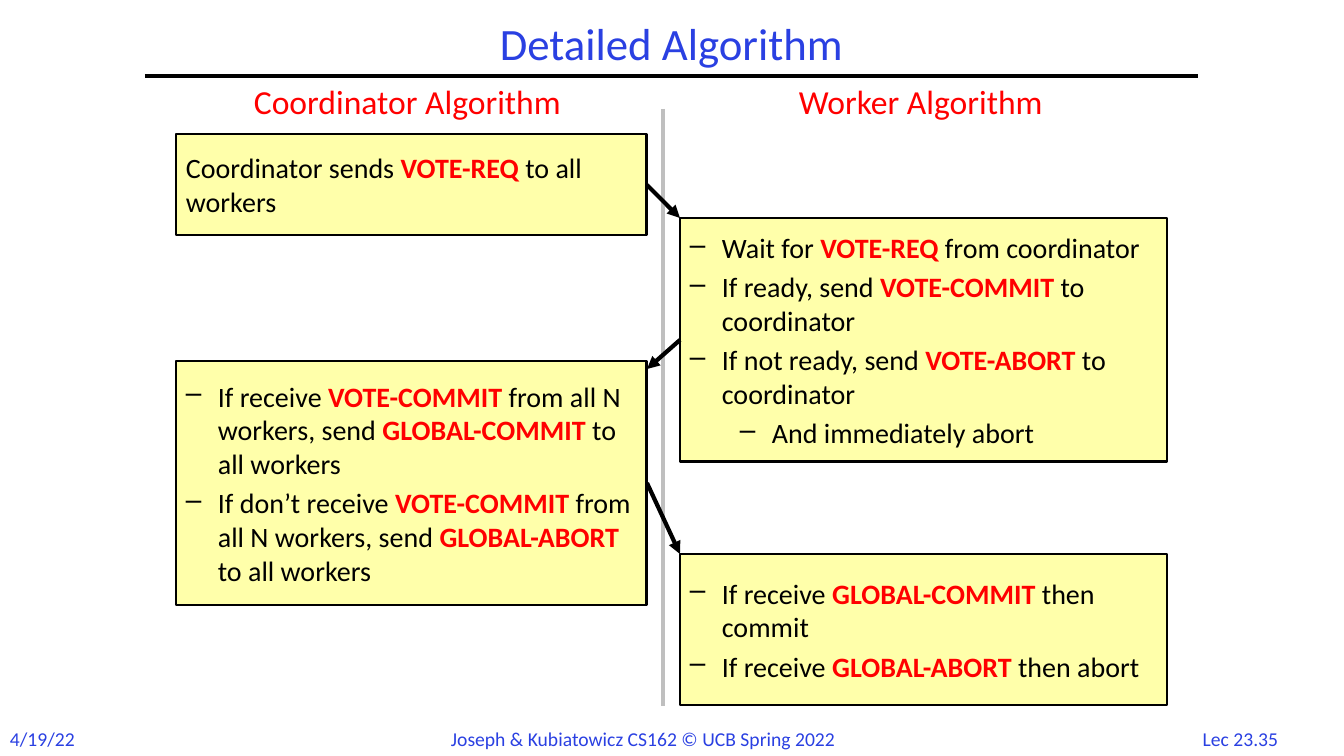
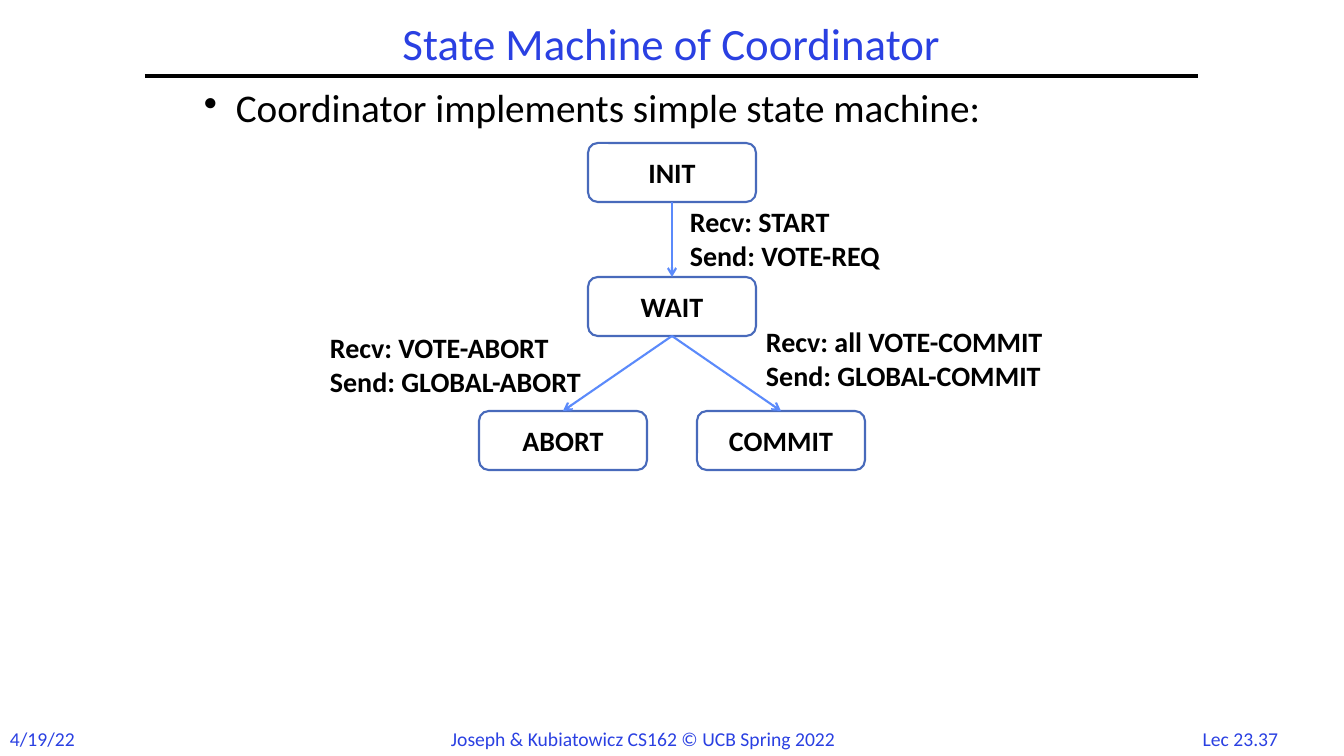
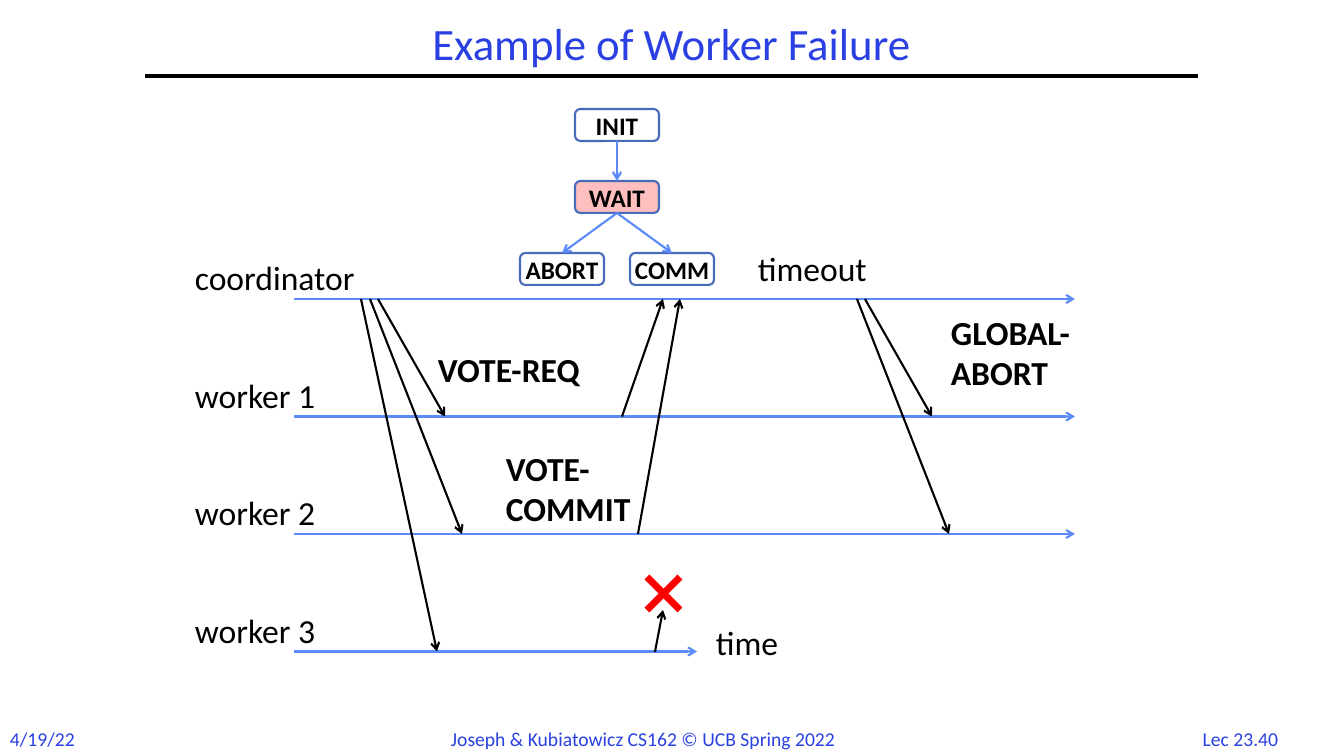
from lxml import etree
from pptx import Presentation
from pptx.dml.color import RGBColor
from pptx.enum.shapes import MSO_CONNECTOR, MSO_SHAPE
from pptx.enum.text import MSO_ANCHOR, PP_ALIGN
from pptx.oxml.ns import qn
from pptx.util import Emu, Pt

LEFT, CENTER = PP_ALIGN.LEFT, PP_ALIGN.CENTER
TOP, MIDDLE = MSO_ANCHOR.TOP, MSO_ANCHOR.MIDDLE
RECTANGLE, ROUNDED = MSO_SHAPE.RECTANGLE, MSO_SHAPE.ROUNDED_RECTANGLE
STRAIGHT = MSO_CONNECTOR.STRAIGHT

EMU_PER_PX = 914400 / 100.8
SLIDE_WIDTH, SLIDE_HEIGHT = 1344, 756
FONT = "Calibri"
COLORS = {
    "title": "2A40E2", "text": "000000", "accent": "FF0000", "note": "FFFFAA",
    "divider": "BFBFBF", "node": "486ABB", "flow": "5B8AFB",
}

# Shared content: text, left, top, width, alignment
FOOTER_TOP = 722
COURSE = ("Joseph & Kubiatowicz CS162 © UCB Spring 2022", 441, 417, LEFT)
DATE = ("4/19/22", 0, 90, LEFT)
LECTURE_LEFT, LECTURE_WIDTH = 1186, 109

# Detailed algorithm; asterisks surround message names
COLUMN_HEADINGS = [("Coordinator Algorithm", 244), ("Worker Algorithm", 789)]
COLUMNS = {"coordinator": (176, 471), "worker": (680, 487)}
DIVIDER = (663, 109, 663, 706)
# column, top, height, paragraphs as (bullet level or None, text)
STEPS = [
    ("coordinator", 134, 101, [
        (None, "Coordinator sends *VOTE-REQ* to all workers")]),
    ("worker", 218, 244, [
        (0, "Wait for *VOTE-REQ* from coordinator"),
        (0, "If ready, send *VOTE-COMMIT* to coordinator"),
        (0, "If not ready, send *VOTE-ABORT* to coordinator"),
        (1, "And immediately abort")]),
    ("coordinator", 361, 244, [
        (0, "If receive *VOTE-COMMIT* from all N workers, send "
            "*GLOBAL-COMMIT* to all workers"),
        (0, "If don’t receive *VOTE-COMMIT* from all N workers, send "
            "*GLOBAL-ABORT* to all workers")]),
    ("worker", 554, 151, [
        (0, "If receive *GLOBAL-COMMIT* then commit"),
        (0, "If receive *GLOBAL-ABORT* then abort")]),
]
STEP_ARROWS = [(647, 185, 680, 218), (680, 340, 647, 369), (647, 483, 680, 554)]

# Coordinator state machine
MACHINE_INTRO = "Coordinator implements simple state machine:"
LARGE_MACHINE = {
    "names": ["INIT", "WAIT", "ABORT", "COMMIT"], "center": 672, "top": 143,
    "node": (168, 59), "pitch": 134, "spread": 109, "size": 20, "active": None,
}
TRANSITIONS = [
    ("Recv: START\nSend: VOTE-REQ", 680, 200, 252),
    ("Recv: VOTE-ABORT\nSend: GLOBAL-ABORT", 320, 326, 320),
    ("Recv: all VOTE-COMMIT\nSend: GLOBAL-COMMIT", 756, 320, 320),
]

# Worker failure timeline
SMALL_MACHINE = {
    "names": ["INIT", "WAIT", "ABORT", "COMM"], "center": 617, "top": 109,
    "node": (84, 32), "pitch": 72, "spread": 55, "size": 18, "active": "WAIT",
}
LIFELINES = [("coordinator", 1075), ("worker 1", 1075),
             ("worker 2", 1075), ("worker 3", 697)]
LIFELINE_LEFT, LIFELINE_TOP, LIFELINE_PITCH = 294, 299, 117.5
# start x, start lifeline, end x, end lifeline
MESSAGES = [
    (378, 0, 445, 1), (370, 0, 462, 2), (361, 0, 437, 3),
    (622, 1, 663, 0), (638, 2, 680, 0),
    (865, 0, 932, 1), (857, 0, 949, 2),
]
LOST_MESSAGE = (655, 652, 663, 610)
CROSS = [(647, 577, 680, 610), (680, 577, 647, 610)]
# text, left, top, width, bold
TIMELINE_LABELS = [
    ("VOTE-REQ", 428, 344, 176, True), ("VOTE-COMMIT", 496, 443, 185, True),
    ("GLOBAL-ABORT", 941, 307, 202, True),
    ("timeout", 748, 243, 202, False), ("time", 706, 617, 92, False),
]


def px(value):
    return Emu(round(value * EMU_PER_PX))


def color(name):
    return RGBColor.from_string(COLORS[name])


def format_run(run, size, color_name="text", bold=False):
    run.font.name = FONT
    run.font.size = Pt(size)
    run.font.bold = bold
    run.font.color.rgb = color(color_name)


def add_bullet(paragraph, character, level=0):
    properties = paragraph._p.get_or_add_pPr()
    properties.set("marL", str(px(32 + 50 * level)))
    properties.set("indent", str(-px(32)))
    etree.SubElement(properties, qn("a:buChar")).set("char", character)


def add_text(slide, text, left, top, width, size, height=50, color_name="text",
             bold=False, align=LEFT, anchor=TOP, spacing=None):
    box = slide.shapes.add_textbox(px(left), px(top), px(width), px(height))
    frame = box.text_frame
    frame.word_wrap = True
    frame.vertical_anchor = anchor
    frame.text = text
    for paragraph in frame.paragraphs:
        paragraph.alignment = align
        if spacing:
            paragraph.line_spacing = spacing
        for run in paragraph.runs:
            format_run(run, size, color_name, bold)
    return frame


def add_line(slide, ends, color_name="text", weight=1.5, arrow=None):
    line = slide.shapes.add_connector(STRAIGHT, *map(px, ends))
    line.line.color.rgb = color(color_name)
    line.line.width = Pt(weight)
    if arrow:
        outline = line.line._get_or_add_ln()
        etree.SubElement(outline, qn("a:tailEnd")).set("type", arrow)
    etree.SubElement(line._element.spPr, qn("a:effectLst"))


def add_box(slide, preset, left, top, width, height, outline, weight, fill=None):
    box = slide.shapes.add_shape(preset, px(left), px(top), px(width), px(height))
    box.shadow.inherit = False
    box.line.color.rgb = color(outline)
    box.line.width = Pt(weight)
    if fill:
        box.fill.solid()
        box.fill.fore_color.rgb = color(fill)
    else:
        box.fill.background()
    box.text_frame.word_wrap = True
    box.text_frame.vertical_anchor = MIDDLE
    return box


def add_slide(presentation, title, lecture):
    """Blank slide with the title, rule and footers that all slides share."""
    slide = presentation.slides.add_slide(presentation.slide_layouts[6])
    add_line(slide, (145, 76, 1198, 76), weight=3)
    add_text(slide, title, 145, 17, 1053, 32, height=58, color_name="title",
             align=CENTER, anchor=MIDDLE, spacing=0.9)
    page = (lecture, LECTURE_LEFT, LECTURE_WIDTH, CENTER)
    for text, left, width, align in (DATE, COURSE, page):
        add_text(slide, text, left, FOOTER_TOP, width, 14, height=34,
                 color_name="title", align=align)
    return slide


def add_step(slide, column, top, height, paragraphs):
    left, width = COLUMNS[column]
    frame = add_box(slide, RECTANGLE, left, top, width, height,
                    "text", 2, "note").text_frame
    for index, (level, text) in enumerate(paragraphs):
        paragraph = frame.add_paragraph() if index else frame.paragraphs[0]
        paragraph.alignment = LEFT
        if level is not None:
            add_bullet(paragraph, "–", level)
        if index:
            paragraph.space_before = Pt(4)
        for part, words in enumerate(text.split("*")):
            run = paragraph.add_run()
            run.text = words
            is_message = part % 2 == 1
            format_run(run, 20, "accent" if is_message else "text", is_message)


def add_state_machine(slide, names, center, top, node, pitch, spread, size, active):
    width, height = node
    places = [(center, top), (center, top + pitch),
              (center - spread, top + 2 * pitch), (center + spread, top + 2 * pitch)]
    for name, (middle, node_top) in zip(names, places):
        is_active = name == active
        box = add_box(slide, ROUNDED, middle - width / 2, node_top, width, height,
                      "node", 1.5, "accent" if is_active else None)
        if is_active:
            fill_color = box._element.spPr.find(".//" + qn("a:srgbClr"))
            etree.SubElement(fill_color, qn("a:alpha")).set("val", "25000")
        frame = box.text_frame
        frame.margin_left = frame.margin_right = 0
        frame.margin_top = frame.margin_bottom = 0
        frame.text = name
        frame.paragraphs[0].alignment = CENTER
        format_run(frame.paragraphs[0].runs[0], size, bold=True)
    for source, target in ((0, 1), (1, 2), (1, 3)):
        start_x, start_top = places[source]
        add_line(slide, (start_x, start_top + height, *places[target]),
                 "flow", arrow="arrow")


def build_algorithm(presentation):
    slide = add_slide(presentation, "Detailed Algorithm", "Lec 23.35")
    add_line(slide, DIVIDER, "divider", 3)
    for step in STEPS:
        add_step(slide, *step)
    for text, left in COLUMN_HEADINGS:
        add_text(slide, text, left, 76, 349, 24, color_name="accent")
    for ends in STEP_ARROWS:
        add_line(slide, ends, weight=3, arrow="triangle")


def build_machine(presentation):
    slide = add_slide(presentation, "State Machine of Coordinator", "Lec 23.37")
    intro = add_text(slide, MACHINE_INTRO, 194, 84, 907, 28, spacing=0.9)
    add_bullet(intro.paragraphs[0], "•")
    add_state_machine(slide, **LARGE_MACHINE)
    for text, left, top, width in TRANSITIONS:
        add_text(slide, text, left, top, width, 20, height=78, bold=True)


def build_failure(presentation):
    slide = add_slide(presentation, "Example of Worker Failure", "Lec 23.40")
    levels = [LIFELINE_TOP + row * LIFELINE_PITCH for row in range(len(LIFELINES))]
    # Lifelines and messages
    for (name, right), level in zip(LIFELINES, levels):
        add_line(slide, (LIFELINE_LEFT, level, right, level), "flow", arrow="arrow")
        add_text(slide, name, 185, level - 47, 202, 24)
    for start_x, start, end_x, end in MESSAGES:
        add_line(slide, (start_x, levels[start], end_x, levels[end]), arrow="arrow")
    # Lost vote
    add_line(slide, LOST_MESSAGE, arrow="arrow")
    for ends in CROSS:
        add_line(slide, ends, "accent", 5)
    # State machine and labels
    add_state_machine(slide, **SMALL_MACHINE)
    for text, left, top, width, bold in TIMELINE_LABELS:
        add_text(slide, text, left, top, width, 24, bold=bold)


def main():
    presentation = Presentation()
    presentation.slide_width = px(SLIDE_WIDTH)
    presentation.slide_height = px(SLIDE_HEIGHT)
    build_algorithm(presentation)
    build_machine(presentation)
    build_failure(presentation)
    presentation.save("out.pptx")


if __name__ == "__main__":
    main()
